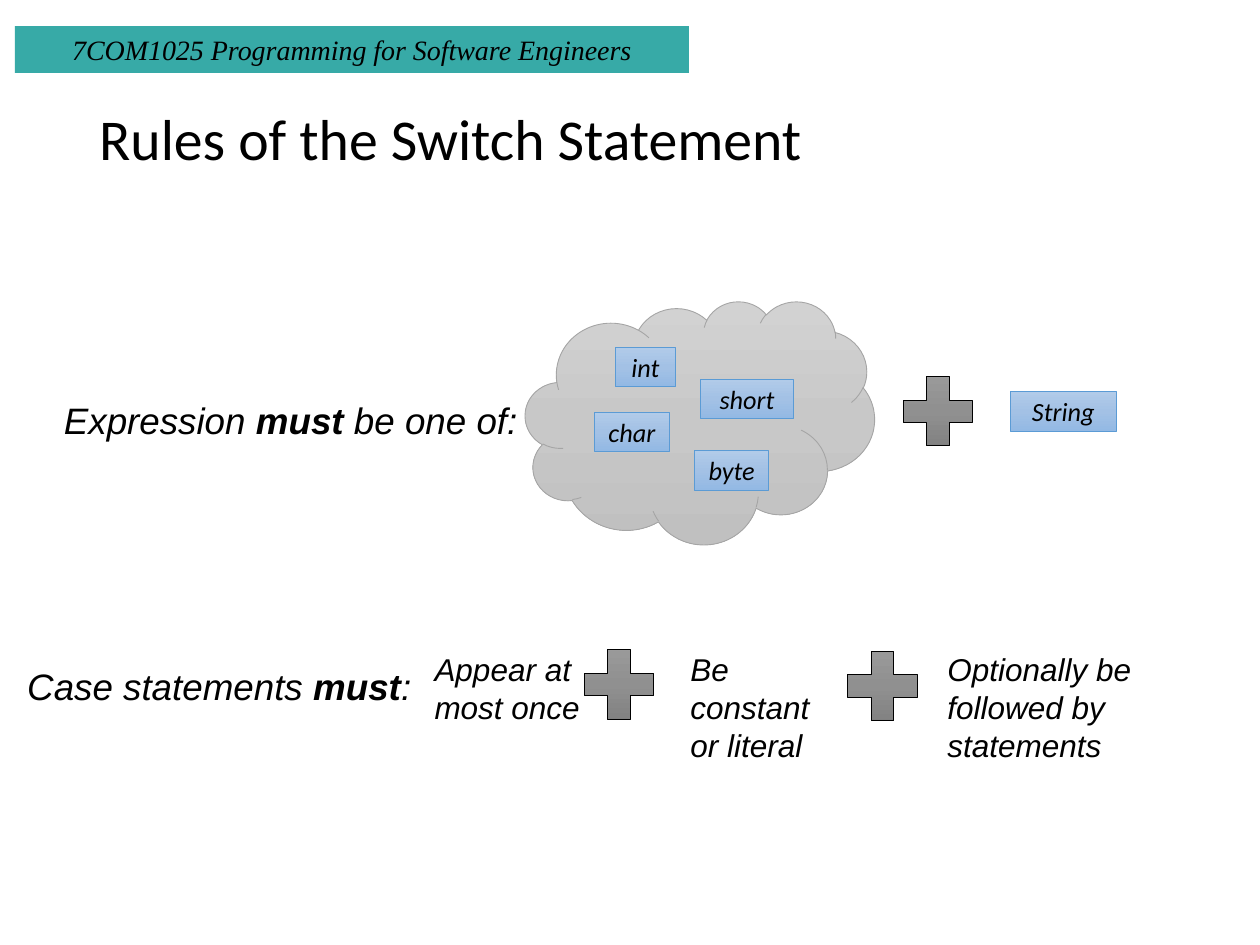
from copy import deepcopy

from pptx import Presentation
from pptx.dml.color import RGBColor
from pptx.enum.shapes import MSO_SHAPE
from pptx.enum.text import MSO_ANCHOR, MSO_AUTO_SIZE, PP_ALIGN
from pptx.util import Cm, Pt

RECT, CLOUD, PLUS = MSO_SHAPE.RECTANGLE, MSO_SHAPE.CLOUD, MSO_SHAPE.MATH_PLUS
LEFT, CENTER = PP_ALIGN.LEFT, PP_ALIGN.CENTER
TOP, MIDDLE = MSO_ANCHOR.TOP, MSO_ANCHOR.MIDDLE
GROW, FIXED = MSO_AUTO_SIZE.SHAPE_TO_FIT_TEXT, MSO_AUTO_SIZE.NONE

BLACK = RGBColor(0x00, 0x00, 0x00)
TEAL = RGBColor(0x37, 0xAA, 0xA7)
GREY_LINE = RGBColor(0xA5, 0xA5, 0xA5)
BLUE_LINE = RGBColor(0x5B, 0x9B, 0xD5)
# Gradients from top to bottom
CLOUD_GREYS = [RGBColor(0xD2, 0xD2, 0xD2), RGBColor(0xC8, 0xC8, 0xC8), RGBColor(0xC0, 0xC0, 0xC0)]
TAG_BLUES = [RGBColor(0xB1, 0xCB, 0xE9), RGBColor(0xA3, 0xC1, 0xE5), RGBColor(0x93, 0xB9, 0xE4)]
PLUS_GREYS = [RGBColor(0x9D, 0x9D, 0x9D), RGBColor(0x90, 0x90, 0x90), RGBColor(0x7C, 0x7C, 0x7C)]

# Content: positions are left, top, width, height in cm
HEADER = ("7COM1025 Programming for Software Engineers", (0.3, 0.53, 13.59, 0.94))
TITLE = ("Rules of the Switch Statement", (1.75, 1.02, 21.89, 3.68))
CLOUD_BOX = (10.59, 6.07, 7.04, 4.9)
TAG_HEIGHT = 0.79
TYPE_TAGS = [  # text, left, top, width
    ("int", 12.4, 7.01, 1.22),
    ("short", 14.12, 7.65, 1.88),
    ("char", 11.99, 8.31, 1.5),
    ("byte", 14.0, 9.09, 1.5),
    ("String", 20.37, 7.9, 2.13),
]
LABELS = [  # runs as (text, bold)
    ([("Expression ", False), ("must", True), (" be one of:", False)], (1.04, 7.9, 9.73, 1.14)),
    ([("Case statements ", False), ("must", True), (":", False)], (0.3, 13.26, 8.33, 1.14)),
]
RULE_TOP = 12.98
CASE_RULES = [  # text, left, width, height
    ("Appear at most once", 8.51, 3.51, 1.8),
    ("Be constant or literal", 13.67, 3.45, 2.57),
    ("Optionally be followed by statements", 18.85, 6.27, 2.57),
]
PLUS_SIZE = 1.9
PLUSES = [(17.96, 7.34), (11.53, 12.85), (16.84, 12.88)]


def write(shape, text, size, font="Arial", italic=True, align=LEFT,
          anchor=TOP, wrap=True, fit=GROW, spacing=None):
    """Fill a shape with one paragraph; text is a string or (text, bold) runs."""
    tf = shape.text_frame
    tf.word_wrap, tf.auto_size, tf.vertical_anchor = wrap, fit, anchor
    p = tf.paragraphs[0]
    p.alignment = align
    if spacing:
        p.line_spacing = spacing
    for part, bold in [(text, False)] if isinstance(text, str) else text:
        r = p.add_run()
        r.text = part
        r.font.name, r.font.size = font, Pt(size)
        r.font.bold, r.font.italic = bold, italic
        r.font.color.rgb = BLACK


def add_shape(slide, kind, box, colors, line=None):
    """Add a preset shape with a solid fill or a three-stop vertical gradient."""
    s = slide.shapes.add_shape(kind, *map(Cm, box))
    s.shadow.inherit = False
    if isinstance(colors, list):
        s.fill.gradient()
        s.fill.gradient_angle = 270
        stops = s.element.spPr.gradFill.gsLst
        stops.insert(1, deepcopy(stops[0]))
        for i, (stop, color) in enumerate(zip(s.fill.gradient_stops, colors)):
            stop.position = i / 2
            stop.color.rgb = color
    else:
        s.fill.solid()
        s.fill.fore_color.rgb = colors
    if line is None:
        s.line.fill.background()
    else:
        s.line.color.rgb = line
        s.line.width = Pt(0.5)
    return s


def add_text(slide, text, box, size, **fmt):
    write(slide.shapes.add_textbox(*map(Cm, box)), text, size, **fmt)


def main():
    prs = Presentation()
    prs.slide_width, prs.slide_height = Cm(25.4), Cm(19.05)
    slide = prs.slides.add_slide(prs.slide_layouts[6])

    # Header band and title
    text, box = HEADER
    write(add_shape(slide, RECT, box, TEAL), text, 16, font="Times New Roman", align=CENTER)
    text, box = TITLE
    add_text(slide, text, box, 33, font="Calibri", italic=False,
             anchor=MIDDLE, fit=FIXED, spacing=0.9)

    # Allowed expression types
    add_shape(slide, CLOUD, CLOUD_BOX, CLOUD_GREYS, GREY_LINE)
    for text, x, y, w in TYPE_TAGS:
        tag = add_shape(slide, RECT, (x, y, w, TAG_HEIGHT), TAG_BLUES, BLUE_LINE)
        write(tag, text, 15, font="Calibri", align=CENTER, anchor=MIDDLE, wrap=False, fit=FIXED)

    # Row labels and case rules
    for runs, box in LABELS:
        add_text(slide, runs, box, 21, wrap=False)
    for text, x, w, h in CASE_RULES:
        add_text(slide, text, (x, RULE_TOP, w, h), 18)

    # Plus signs between the parts
    for x, y in PLUSES:
        add_shape(slide, PLUS, (x, y, PLUS_SIZE, PLUS_SIZE), PLUS_GREYS, BLACK)

    prs.save("out.pptx")


if __name__ == "__main__":
    main()
